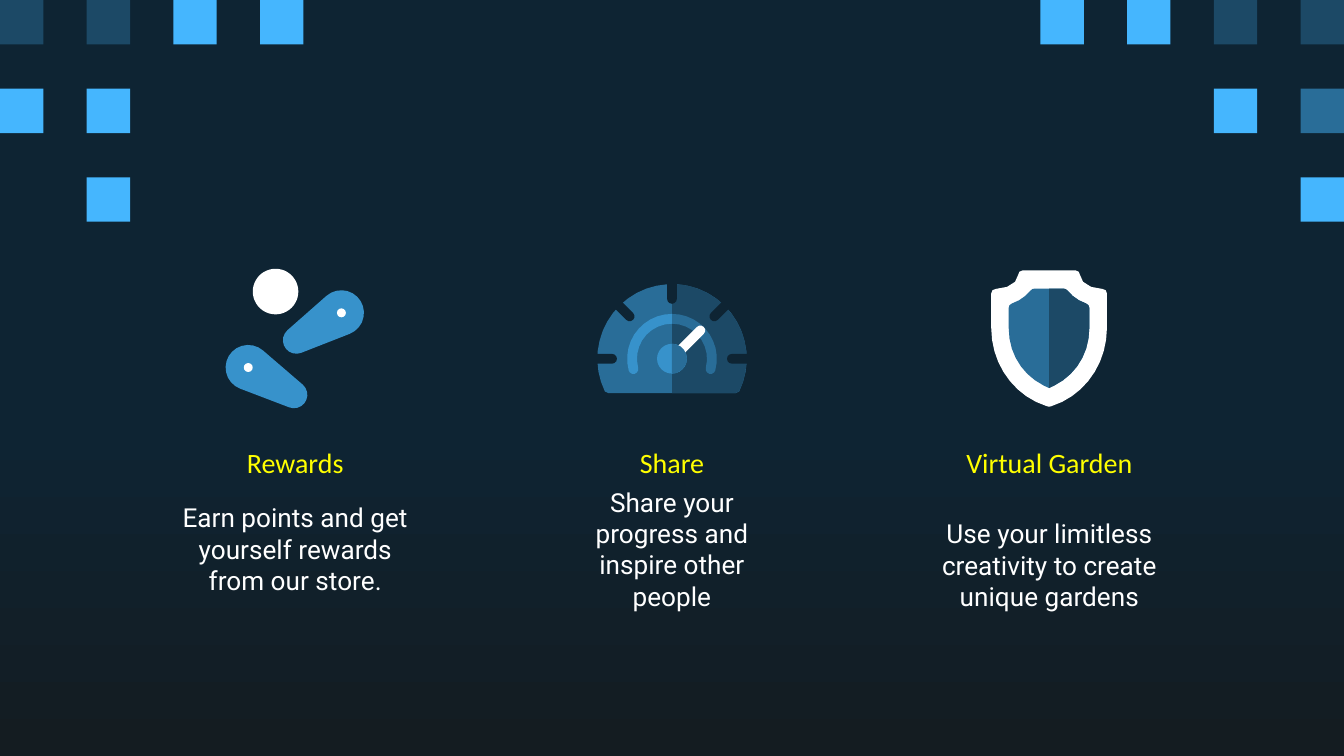
import math

import pptx
import pptx.dml.color
import pptx.enum.shapes
import pptx.enum.text
import pptx.util

Pt = pptx.util.Pt
Kind = pptx.enum.shapes.MSO_SHAPE
DARK, NAVY, STEEL, BLUE, SKY = "0E2433", "1C4966", "296D98", "3792CB", "45B6FE"
WHITE, YELLOW = "FFFFFF", "FFFF00"


def color(code):
    return pptx.dml.color.RGBColor.from_string(code)


def polar(hub, radius, angle):
    turn = math.radians(angle)
    return hub[0] + radius * math.cos(turn), hub[1] + radius * math.sin(turn)


def arc(hub, radius, start, end):
    step = math.degrees(2 * math.acos(1 - 0.1 / radius))
    count = math.ceil(abs(end - start) / step)
    return [polar(hub, radius, start + (end - start) * i / count)
            for i in range(count + 1)]


def paddle(big, wide, small, thin):
    angle = math.degrees(math.atan2(small[1] - big[1], small[0] - big[0]))
    spread = math.degrees(math.acos((wide - thin) / math.dist(big, small)))
    return (arc(big, wide, angle + spread, angle + 360 - spread)
            + arc(small, thin, angle - spread, angle + spread))


def trace(steps):
    points = [steps[0]]
    for step in steps[1:]:
        if len(step) == 2:
            points.append(step)
            continue
        knots = [points[-1], step[:2], step[2:4], step[4:]]
        count = max(2, math.ceil(math.dist(knots[0], knots[3]) / 6))
        for i in range(1, count + 1):
            t = i / count
            parts = ((1 - t) ** 3, 3 * t * (1 - t) ** 2, 3 * t * t * (1 - t), t ** 3)
            points.append(tuple(sum(p * k[axis] for p, k in zip(parts, knots))
                                for axis in (0, 1)))
    return points


class Deck:
    def __init__(self):
        self.file = pptx.Presentation()
        self.file.slide_width, self.file.slide_height = Pt(720), Pt(405)
        self.slide = self.file.slides.add_slide(self.file.slide_layouts[6])

    def backdrop(self, top, bottom):
        fill = self.slide.background.fill
        fill.gradient()
        fill.gradient_angle = 270
        for stop, place, code in zip(fill.gradient_stops, (0.56, 1), (top, bottom)):
            stop.position = place
            stop.color.rgb = color(code)

    def paint(self, shape, code):
        shape.shadow.inherit = False
        shape.fill.solid()
        shape.fill.fore_color.rgb = color(code)
        shape.line.fill.background()

    def block(self, left, top, width, height, code, kind=Kind.RECTANGLE):
        shape = self.slide.shapes.add_shape(
            kind, Pt(left), Pt(top), Pt(width), Pt(height))
        self.paint(shape, code)
        return shape

    def disc(self, hub, radius, code):
        self.block(hub[0] - radius, hub[1] - radius,
                   2 * radius, 2 * radius, code, Kind.OVAL)

    def spoke(self, hub, angle, near, far, code):
        x, y = polar(hub, (near + far) / 2, angle)
        size = far - near
        shape = self.block(x - size / 2, y - 2.6, size, 5.2, code,
                           Kind.ROUNDED_RECTANGLE)
        shape.adjustments[0] = 0.5
        shape.rotation = angle

    def outline(self, points, code):
        spots = [(Pt(x), Pt(y)) for x, y in points]
        pen = self.slide.shapes.build_freeform(*spots[0], scale=1.0)
        pen.add_line_segments(spots[1:], close=True)
        self.paint(pen.convert_to_shape(), code)

    def text(self, words, left, top, height, inset, font, size, code):
        box = self.slide.shapes.add_textbox(Pt(left), Pt(top), Pt(150), Pt(height))
        frame = box.text_frame
        frame.word_wrap = True
        frame.vertical_anchor = pptx.enum.text.MSO_ANCHOR.MIDDLE
        frame.margin_left = frame.margin_right = Pt(inset)
        frame.margin_top = frame.margin_bottom = Pt(inset)
        line = frame.paragraphs[0]
        line.text = words
        line.alignment = pptx.enum.text.PP_ALIGN.CENTER
        line.font.name, line.font.size = font, Pt(size)
        line.font.color.rgb = color(code)


def flippers(deck):
    for big, small in (((182.9, 167.6), (158.8, 182.3)),
                       ((133, 196.9), (157.5, 211.5))):
        deck.outline(paddle(big, 12.1, small, 7.2), BLUE)
        deck.disc(big, 2.4, WHITE)
    deck.disc((147.6, 156.2), 12.2, WHITE)


def gauge(deck):
    hub, floor = (360, 192.2), 210.6
    deck.outline(arc(hub, 40, 154, 386) + [(394, floor), (326, floor)], STEEL)
    deck.outline(arc(hub, 40, 270, 386) + [(394, floor), (360, floor)], NAVY)
    for angle in range(180, 361, 45):
        deck.spoke(hub, angle, 29.5, 42.6, DARK)
    for end, cap, code in ((165, -180, BLUE), (375, 180, STEEL)):
        tip = polar(hub, 21.4, end)
        deck.outline(arc(hub, 24, 270, end) + arc(tip, 2.65, end, end + cap)
                     + arc(hub, 18.75, end, 270), code)
    deck.disc(hub, 8, BLUE)
    deck.spoke(hub, 315, 2.8, 24.1, WHITE)
    deck.outline(arc(hub, 8, 270, 450), STEEL)


def shield(deck):
    middle = 562
    rim = trace([(0, 144.8), (14, 144.8), (15.5, 144.8, 16.6, 146, 16.6, 147.4),
                 (16.6, 151.2, 22, 154.8, 28.5, 154.8),
                 (30, 154.8, 31, 155.8, 31, 157.2), (31, 175.7),
                 (31, 195, 19, 212, 1.3, 217.6), (0, 217.9)])
    core = trace([(0, 154.6), (7.5, 154.6), (8.5, 154.6, 9.3, 155, 9.9, 155.7),
                  (12.2, 158.6, 15.8, 161.3, 19.8, 162.6),
                  (21, 163, 21.6, 163.9, 21.6, 165), (21.6, 175.7),
                  (21.6, 189.3, 14.4, 200.8, 2.8, 206.6), (0, 207.9)])
    for half, code in ((rim, WHITE), (core, STEEL)):
        right = [(middle + x, y) for x, y in half]
        left = [(middle - x, y) for x, y in reversed(half)]
        deck.outline(right + left, code)
    deck.outline([(middle + x, y) for x, y in core], NAVY)


def main():
    deck = Deck()
    deck.backdrop(DARK, "141C21")
    tiles = (
        {0: NAVY, 1: NAVY, 2: SKY, 3: SKY, 12: SKY, 13: SKY, 14: NAVY, 15: NAVY},
        {0: SKY, 1: SKY, 14: SKY, 15: STEEL},
        {1: SKY, 15: SKY},
    )
    for row, cells in enumerate(tiles):
        for col, code in cells.items():
            deck.block(46.45 * col, 47.5 * row, 23.25, 23.8, code)
    cards = (
        (83.2, 262.2, "Rewards", "Earn points and get yourself rewards from our store."),
        (285, 262.2, "Share", "Share your progress and inspire other people"),
        (487.2, 270.9, "Virtual Garden",
         "Use your limitless creativity to create unique gardens"),
    )
    for left, top, head, body in cards:
        deck.text(body, left, top, 63.4, 14.4, "Roboto", 14, WHITE)
        deck.text(head, left, 232.8, 30.2, 7.2, "Calibri", 15, YELLOW)
    flippers(deck)
    gauge(deck)
    shield(deck)
    deck.file.save("out.pptx")


if __name__ == "__main__":
    main()
